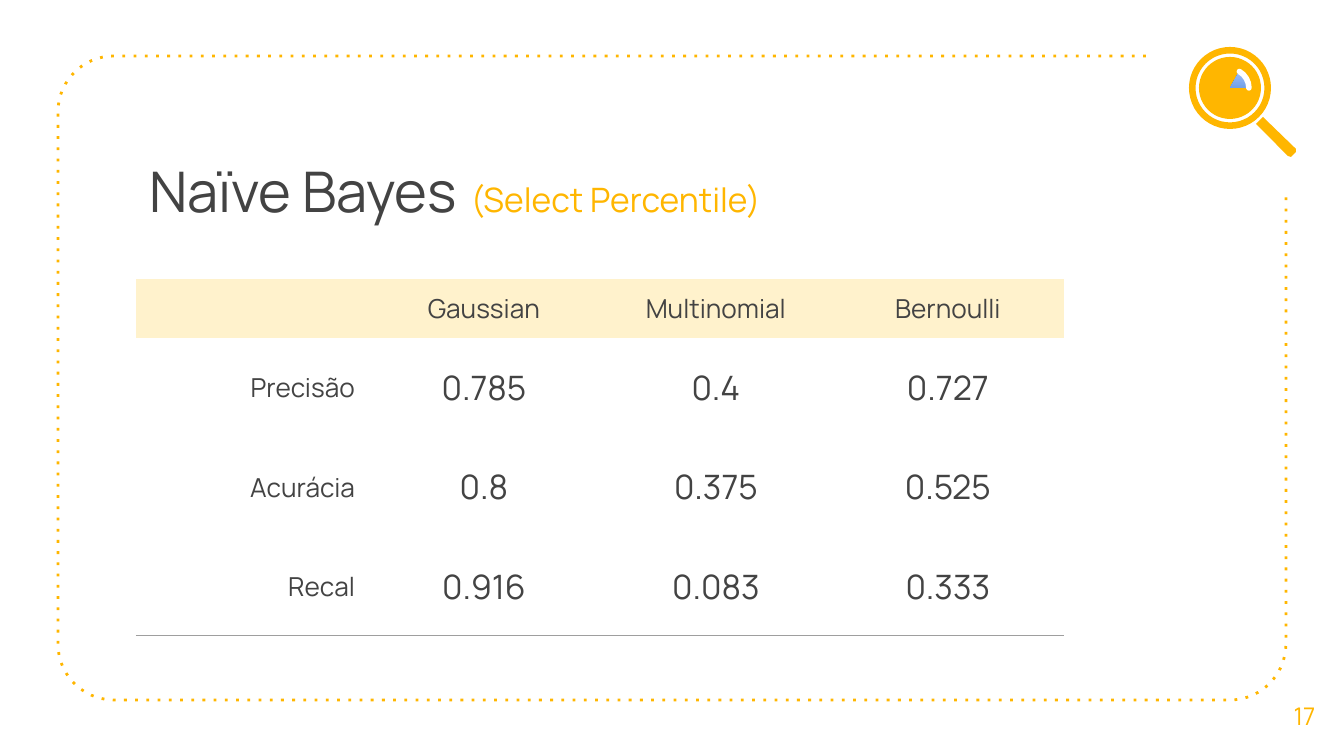
"""Build the Naïve Bayes results slide with its table, dotted frame and magnifier."""
import math
from typing import NamedTuple, Optional

import pptx
import pptx.dml.color
import pptx.enum.dml
import pptx.enum.shapes
import pptx.enum.text
import pptx.oxml
import pptx.oxml.ns
import pptx.util

PX = 914400 / 134.4
FONT = "Manrope"
AMBER, CREAM, DARK, GREY, WHITE = "FFB600", "FFF2CC", "434343", "9E9E9E", "FFFFFF"
SHAPE = pptx.enum.shapes.MSO_SHAPE
ALIGN = pptx.enum.text.PP_ALIGN
ANCHOR = pptx.enum.text.MSO_ANCHOR


class Box(NamedTuple):
    x: int
    y: int
    w: int
    h: int


class Row(NamedTuple):
    height: int
    texts: tuple
    size: int
    fill: Optional[str]
    border: Optional[str]


ROWS = (
    Row(58, ("", "Gaussian", "Multinomial", "Bernoulli"), 14, CREAM, None),
    Row(99, ("Precisão", "0.785", "0.4", "0.727"), 18, None, AMBER),
    Row(100, ("Acurácia", "0.8", "0.375", "0.525"), 18, None, AMBER),
    Row(99, ("Recal", "0.916", "0.083", "0.333"), 18, None, GREY),
)
TABLE = Box(136, 279, 928, 356)
FRAME = Box(58, 56, 1228, 644)
RADIUS = 56
RING = Box(1189, 47, 82, 82)
LENS = Box(1199, 57, 62, 62)
GLINT = Box(1211, 69, 38, 38)
HANDLE = ((1263, 117), (1296, 149), (1296, 152), (1291, 157), (1288, 156), (1256, 124))


def px(n: float) -> int:
    return round(n * PX)


def emu(box: Box) -> tuple:
    return tuple(px(n) for n in box)


def color(value: str) -> pptx.dml.color.RGBColor:
    return pptx.dml.color.RGBColor.from_string(value)


def style_run(r, size: int, value: str) -> None:
    r.font.name = FONT
    r.font.size = pptx.util.Pt(size)
    r.font.color.rgb = color(value)


def set_margins(tf, side: int, top: int) -> None:
    tf.margin_left = tf.margin_right = px(side)
    tf.margin_top = tf.margin_bottom = px(top)


def fill_shape(sp, value: str) -> None:
    sp.shadow.inherit = False
    sp.fill.solid()
    sp.fill.fore_color.rgb = color(value)
    sp.line.fill.background()


def add_path(s, points, closed: bool):
    spots = [(px(x), px(y)) for x, y in points]
    builder = s.shapes.build_freeform(*spots[0], scale=1.0)
    builder.add_line_segments(spots[1:], close=closed)
    sp = builder.convert_to_shape()
    sp.shadow.inherit = False
    return sp


def corner(cx: int, cy: int, start: int) -> list:
    """Return points of a quarter circle, turning anticlockwise on the slide."""
    angles = [math.radians(start - 6 * i) for i in range(16)]
    return [(cx + RADIUS * math.cos(a), cy + RADIUS * math.sin(a)) for a in angles]


def add_frame(s) -> None:
    left, top = FRAME.x, FRAME.y
    right, bottom = left + FRAME.w, top + FRAME.h
    points = [
        (right - 140, top),
        *corner(left + RADIUS, top + RADIUS, 270),
        *corner(left + RADIUS, bottom - RADIUS, 180),
        *corner(right - RADIUS, bottom - RADIUS, 90),
        (right, top + 140),
    ]
    sp = add_path(s, points, False)
    sp.fill.background()
    sp.line.color.rgb = color(AMBER)
    sp.line.width = pptx.util.Pt(1.5)
    sp.line.dash_style = pptx.enum.dml.MSO_LINE.ROUND_DOT
    sp.line.dash_style
    sp._element.xpath(".//a:prstDash")[0].set("val", "dot")


def add_title(s) -> None:
    sp = s.shapes.title
    sp.left, sp.top, sp.width, sp.height = emu(Box(136, 132, 1009, 126))
    tf = sp.text_frame
    tf.auto_size = pptx.enum.text.MSO_AUTO_SIZE.NONE
    tf.vertical_anchor = ANCHOR.TOP
    set_margins(tf, 13, 13)
    p = tf.paragraphs[0]
    p.alignment = ALIGN.LEFT
    for text, size, value in (("Naïve Bayes", 30, DARK), (" ", 36, DARK),
                              ("(Select Percentile)", 18, AMBER)):
        r = p.add_run()
        r.text = text
        style_run(r, size, value)


def set_borders(cell, bottom: Optional[str]) -> None:
    tc_pr = cell._tc.get_or_add_tcPr()
    ns = pptx.oxml.ns.nsdecls("a")
    for i, side in enumerate(("lnL", "lnR", "lnT", "lnB")):
        value = bottom if side == "lnB" else None
        paint = f'<a:solidFill><a:srgbClr val="{value}"/></a:solidFill>' if value else "<a:noFill/>"
        tc_pr.insert(i, pptx.oxml.parse_xml(f'<a:{side} {ns} w="9525">{paint}</a:{side}>'))


def fill_cell(cell, text: str, size: int, align, row: Row) -> None:
    cell.text_frame.text = text
    cell.vertical_anchor = ANCHOR.MIDDLE
    set_margins(cell, 13, 9)
    p = cell.text_frame.paragraphs[0]
    p.alignment = align
    for r in p.runs:
        style_run(r, size, DARK)
    if row.fill:
        cell.fill.solid()
        cell.fill.fore_color.rgb = color(row.fill)
    else:
        cell.fill.background()
    set_borders(cell, row.border)


def add_results(s) -> None:
    columns = len(ROWS[0].texts)
    table = s.shapes.add_table(len(ROWS), columns, *emu(TABLE)).table
    table.first_row = table.horz_banding = False
    for column in table.columns:
        column.width = px(TABLE.w // columns)
    for i, row in enumerate(ROWS):
        table.rows[i].height = px(row.height)
        for j, text in enumerate(row.texts):
            size, align = (row.size, ALIGN.CENTER) if j else (14, ALIGN.RIGHT)
            fill_cell(table.cell(i, j), text, size, align, row)


def add_page_number(s) -> None:
    tf = s.shapes.add_textbox(*emu(Box(1265, 675, 79, 81))).text_frame
    tf.word_wrap = True
    tf.vertical_anchor = ANCHOR.MIDDLE
    set_margins(tf, 13, 13)
    tf.text = "17"
    p = tf.paragraphs[0]
    p.alignment = ALIGN.CENTER
    style_run(p.runs[0], 13, AMBER)


def add_magnifier(s) -> None:
    ring = s.shapes.add_shape(SHAPE.DONUT, *emu(RING))
    ring.adjustments[0] = 0.08
    lens = s.shapes.add_shape(SHAPE.OVAL, *emu(LENS))
    for sp in (ring, lens, add_path(s, HANDLE, True)):
        fill_shape(sp, AMBER)
    glint = s.shapes.add_shape(SHAPE.ARC, *emu(GLINT))
    glint.adjustments[0], glint.adjustments[1] = 180, -90
    glint.shadow.inherit = False
    glint.line.color.rgb = color(WHITE)
    glint.line.width = pptx.util.Pt(3)
    glint._element.xpath(".//a:ln")[0].set("cap", "rnd")


def main() -> None:
    prs = pptx.Presentation()
    prs.slide_width, prs.slide_height = px(1344), px(756)
    s = prs.slides.add_slide(prs.slide_layouts[5])
    add_frame(s)
    add_title(s)
    add_results(s)
    add_page_number(s)
    add_magnifier(s)
    prs.save("out.pptx")


if __name__ == "__main__":
    main()
